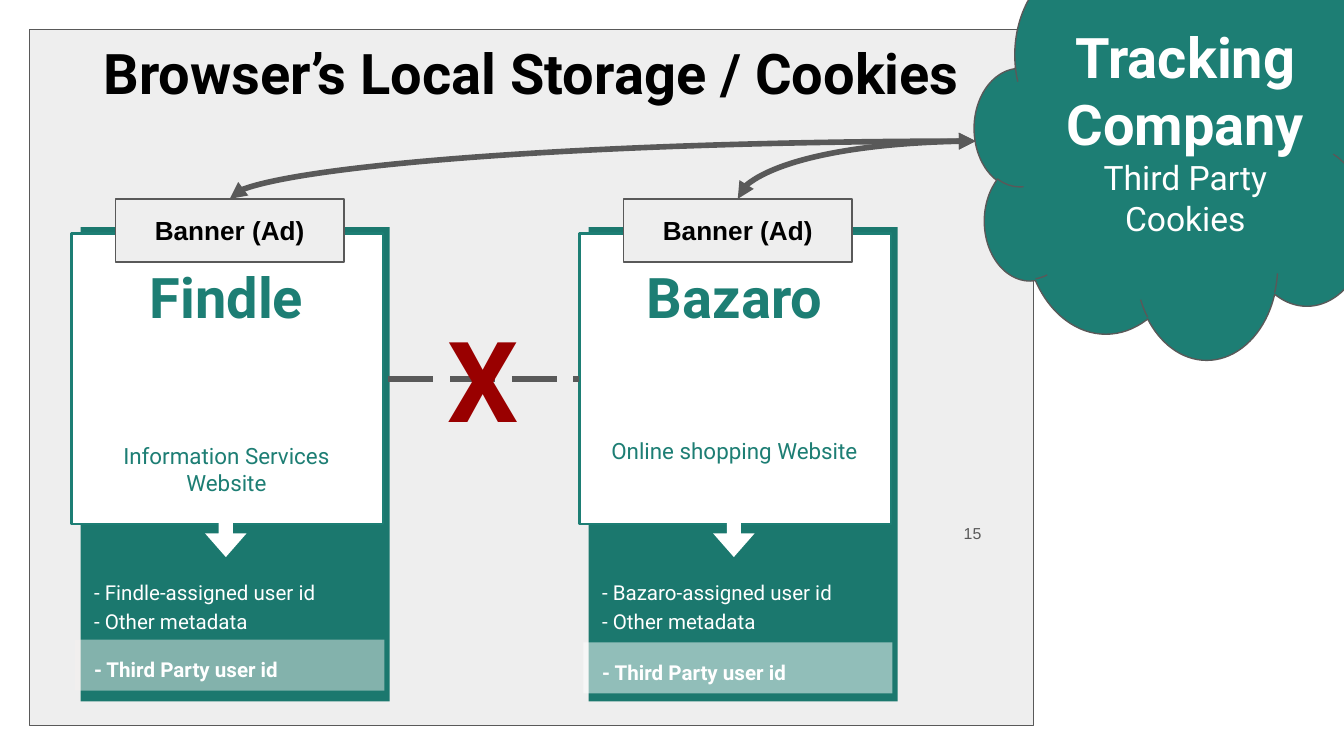
import pptx
import pptx.util
import pptx.dml.color
import pptx.enum.dml
import pptx.enum.shapes
import pptx.enum.text
import pptx.oxml
import pptx.oxml.ns
from lxml import etree

Inches, Pt = pptx.util.Inches, pptx.util.Pt
RGB = pptx.dml.color.RGBColor.from_string
SHAPE = pptx.enum.shapes.MSO_SHAPE
CONNECTOR = pptx.enum.shapes.MSO_CONNECTOR
ALIGN = pptx.enum.text.PP_ALIGN
ANCHOR = pptx.enum.text.MSO_ANCHOR
qn = pptx.oxml.ns.qn

COLORS = {
    "panel": "EEEEEE", "gray": "595959", "teal": "1D7E74", "dark_teal": "1B786E",
    "white": "FFFFFF", "cream": "F5F2F0", "black": "000000", "red": "990000",
}

prs = pptx.Presentation()
prs.slide_width, prs.slide_height = Inches(10), Inches(10 * 9 / 16)
s = prs.slides.add_slide(prs.slide_layouts[6])


def add_box(x, y, w, h, lines=(), kind=None, fill=None, alpha=None, line=None,
            line_pt=0.75, inset=0.1, left=None, align=ALIGN.CENTER,
            anchor=ANCHOR.TOP, spacing=None):
    """Add a preset shape, or a text box without kind; lines hold (text, size, color, bold, font)."""
    at = [Inches(v) for v in (x, y, w, h)]
    if kind is None:
        sp = s.shapes.add_textbox(*at)
    else:
        sp = s.shapes.add_shape(kind, *at)
        sp.shadow.inherit = False
        sp.fill.solid()
        sp.fill.fore_color.rgb = RGB(COLORS[fill])
        if alpha:
            color = sp.fill._xPr.find(qn("a:solidFill"))[0]
            etree.SubElement(color, qn("a:alpha")).set("val", str(alpha * 1000))
        if line:
            sp.line.color.rgb = RGB(COLORS[line])
            sp.line.width = Pt(line_pt)
        else:
            sp.line.fill.background()
    tf = sp.text_frame
    tf.word_wrap = True
    tf.vertical_anchor = anchor
    tf.margin_top = tf.margin_right = tf.margin_bottom = Inches(inset)
    tf.margin_left = Inches(inset if left is None else left)
    for i, (text, size, color, bold, font) in enumerate(lines):
        p = tf.add_paragraph() if i else tf.paragraphs[0]
        p.alignment = align
        if spacing:
            p.line_spacing = spacing
        r = p.add_run()
        r.text = text
        r.font.size, r.font.bold, r.font.name = Pt(size), bold, font
        r.font.color.rgb = RGB(COLORS[color])
    return sp


def add_line(kind, x1, y1, x2, y2):
    cx = s.shapes.add_connector(kind, Inches(x1), Inches(y1), Inches(x2), Inches(y2))
    cx.line.color.rgb = RGB(COLORS["gray"])
    cx.line.width = Pt(3)
    etree.SubElement(cx._element.spPr, qn("a:effectLst"))
    return cx


# Browser panel and slide number
add_box(0.22, 0.22, 7.47, 5.18,
        [("Browser’s Local Storage / Cookies", 30, "black", True, "Roboto")],
        SHAPE.RECTANGLE, "panel", line="gray", inset=0.07)
add_box(6.95, 3.82, 0.45, 0.32, [("15", 8.5, "gray", False, "Arial")],
        align=ALIGN.RIGHT, anchor=ANCHOR.MIDDLE, spacing=0.8)

# Website cards: left edge, name, description, description top, band top, band fill, band alpha
sites = [
    (0.53, "Findle", "Information Services Website", 3.19, 4.76, "cream", 48),
    (4.31, "Bazaro", "Online shopping Website", 3.15, 4.78, "white", 52),
]
for x, name, about, about_y, *band in sites:
    add_box(x + 0.07, 1.69, 2.3, 3.53, kind=SHAPE.RECTANGLE, fill="dark_teal")
    add_box(x, 1.74, 2.32, 2.16, kind=SHAPE.RECTANGLE, fill="white",
            line="teal", line_pt=1.5)
    add_box(x + 0.13, about_y, 2.05, 0.53, [(about, 12, "teal", False, "Roboto")])
    add_box(x + 0.13, 1.85, 2.05, 0.58, [(name, 30, "teal", True, "Roboto")])
    arrow = add_box(x + 0.98, 3.82, 0.34, 0.31, kind=SHAPE.RIGHT_ARROW, fill="white")
    arrow.rotation = 90
    arrow.adjustments[0], arrow.adjustments[1] = 0.34, 0.57
    stored = [f"- {name}-assigned user id", "- Other metadata"]
    add_box(x, 4.19, 2.3, 0.53, [(t, 11, "white", False, "Roboto") for t in stored],
            left=0.17, align=ALIGN.LEFT, spacing=1.15)

# Blocked link between the sites
link = add_line(CONNECTOR.STRAIGHT, 2.89, 2.82, 4.31, 2.82)
link.line.dash_style = pptx.enum.dml.MSO_LINE.LONG_DASH
add_box(3.26, 2.24, 0.69, 1.15, [("X", 60, "red", True, "Roboto")],
        inset=0.07, align=ALIGN.LEFT)

# Third party parts
add_box(7.25, -0.58, 3.38, 3.25,
        [("Tracking Company", 30, "white", True, "Roboto"),
         ("Third Party Cookies", 18, "white", False, "Roboto")],
        SHAPE.CLOUD, "teal", line="gray", inset=0.07, anchor=ANCHOR.MIDDLE)
for x, name, about, about_y, band_y, band_fill, band_alpha in sites:
    add_box(x + 0.03, band_y, 2.3, 0.38,
            [("- Third Party user id", 11, "white", True, "Roboto")],
            SHAPE.RECTANGLE, band_fill, band_alpha, left=0.14,
            align=ALIGN.LEFT, spacing=1.15)
    add_box(x + 0.33, 1.48, 1.7, 0.47, [("Banner (Ad)", 14, "black", True, "Arial")],
            SHAPE.RECTANGLE, "panel", line="gray", anchor=ANCHOR.MIDDLE)
    curve = add_line(CONNECTOR.CURVE, 7.26, 1.05, x + 1.18, 1.48)
    curve._element.spPr.find(qn("a:prstGeom")).set("prst", "curvedConnector2")
    ln = curve.line._get_or_add_ln()
    for end in ("a:headEnd", "a:tailEnd"):
        etree.SubElement(ln, qn(end)).set("type", "triangle")

prs.save("out.pptx")
